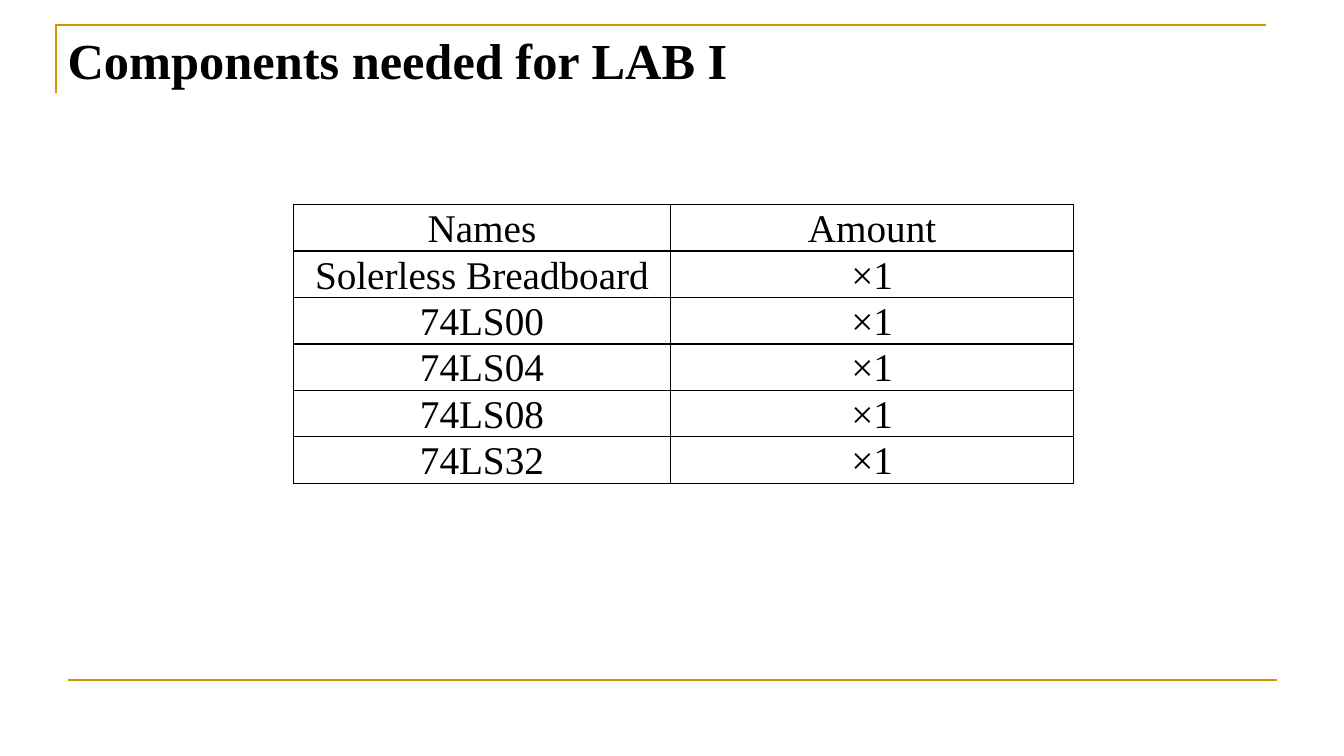
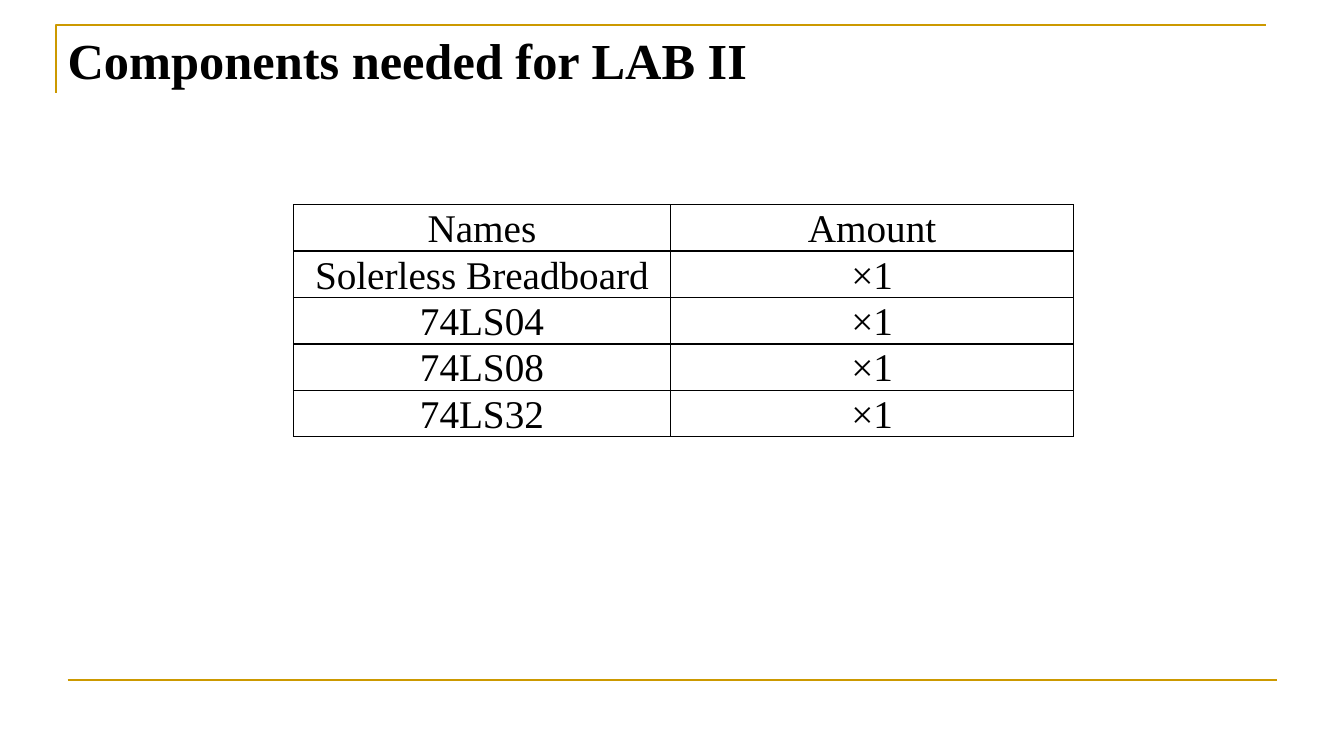
from lxml.etree import SubElement
from pptx import Presentation
from pptx.dml.color import RGBColor
from pptx.enum.shapes import MSO_CONNECTOR as Connector
from pptx.enum.text import MSO_ANCHOR as Anchor, MSO_AUTO_SIZE as AutoSize, PP_ALIGN as Align
from pptx.oxml import parse_xml
from pptx.oxml.ns import nsdecls, qn
from pptx.util import Inches, Pt

BLACK, GOLD = "000000", "CC9900"
TITLE_ONLY = 5
TITLE_FONT = {"name": "Times New Roman", "size": Pt(36), "bold": True}
CELL_FONT = {"name": "Times New Roman", "size": Pt(28), "bold": False}


def color(value):
    return RGBColor.from_string(value)


def set_values(target, values):
    for name, value in values.items():
        setattr(target, name, value)


class LabDeck:
    """Holds the deck, its style and the slide being filled."""

    def __init__(self):
        self.deck = Presentation()
        set_values(self.deck, {"slide_width": Inches(13.33), "slide_height": Inches(7.5)})
        self.slide = None

    def add_slide(self, title):
        self.slide = self.deck.slides.add_slide(self.deck.slide_layouts[TITLE_ONLY])
        self.add_title(title)
        self.add_corner_rule()
        self.add_footer_rule()

    def add_title(self, text):
        box = self.slide.shapes.title
        set_values(box, {"left": Inches(0.57), "top": Inches(0.24),
                         "width": Inches(10.08), "height": Inches(1.32)})
        set_values(box.text_frame, {"text": text, "word_wrap": True,
                                    "auto_size": AutoSize.NONE,
                                    "vertical_anchor": Anchor.TOP})
        self.format_text(box.text_frame.paragraphs[0], Align.LEFT, TITLE_FONT)

    def format_text(self, para, alignment, font):
        para.alignment = alignment
        for span in para.runs:
            set_values(span.font, font)
            span.font.color.rgb = color(BLACK)

    def add_corner_rule(self):
        builder = self.slide.shapes.build_freeform(Inches(0.56), Inches(0.92))
        corner = [(Inches(0.56), Inches(0.25)), (Inches(12.56), Inches(0.25))]
        builder.add_line_segments(corner, close=False)
        rule = builder.convert_to_shape()
        rule.shadow.inherit = False
        rule.fill.background()
        self.format_line(rule.line)

    def add_footer_rule(self):
        rule = self.slide.shapes.add_connector(
            Connector.STRAIGHT, Inches(0.67), Inches(6.75), Inches(12.67), Inches(6.75))
        self.format_line(rule.line)
        SubElement(rule._element.spPr, qn("a:effectLst"))

    def format_line(self, line):
        line.width = Pt(1.5)
        line.color.rgb = color(GOLD)

    def add_table(self, rows):
        widths, row_height = [Inches(3.74), Inches(4)], Inches(0.31)
        table = self.slide.shapes.add_table(
            len(rows), len(widths), Inches(2.91), Inches(2.03),
            sum(widths), row_height * len(rows)).table
        set_values(table, {"first_row": False, "horz_banding": False})
        for column, width in zip(table.columns, widths):
            column.width = width
        for row, texts in zip(table.rows, rows):
            row.height = row_height
            for cell, text in zip(row.cells, texts):
                self.fill_cell(cell, text)

    def fill_cell(self, cell, text):
        set_values(cell, {"text": text, "vertical_anchor": Anchor.MIDDLE,
                          "margin_left": Inches(0.08), "margin_right": Inches(0.08),
                          "margin_top": 0, "margin_bottom": 0})
        para = cell.text_frame.paragraphs[0]
        para.line_spacing = 1.07
        self.format_text(para, Align.CENTER, CELL_FONT)
        self.add_borders(cell)
        cell.fill.background()

    def add_borders(self, cell):
        properties = cell._tc.get_or_add_tcPr()
        for side in ("lnL", "lnR", "lnT", "lnB"):
            properties.append(parse_xml(
                f'<a:{side} {nsdecls("a")} w="{Pt(1)}"><a:solidFill>'
                f'<a:srgbClr val="{BLACK}"/></a:solidFill></a:{side}>'))


def main():
    labs = {
        "I": ["74LS00", "74LS04", "74LS08", "74LS32"],
        "II": ["74LS04", "74LS08", "74LS32"],
    }
    lab_deck = LabDeck()
    for number, chips in labs.items():
        lab_deck.add_slide(f"Components needed for LAB {number}")
        parts = ["Solerless Breadboard", *chips]
        lab_deck.add_table([("Names", "Amount"), *((part, "×1") for part in parts)])
    lab_deck.deck.save("out.pptx")


if __name__ == "__main__":
    main()
